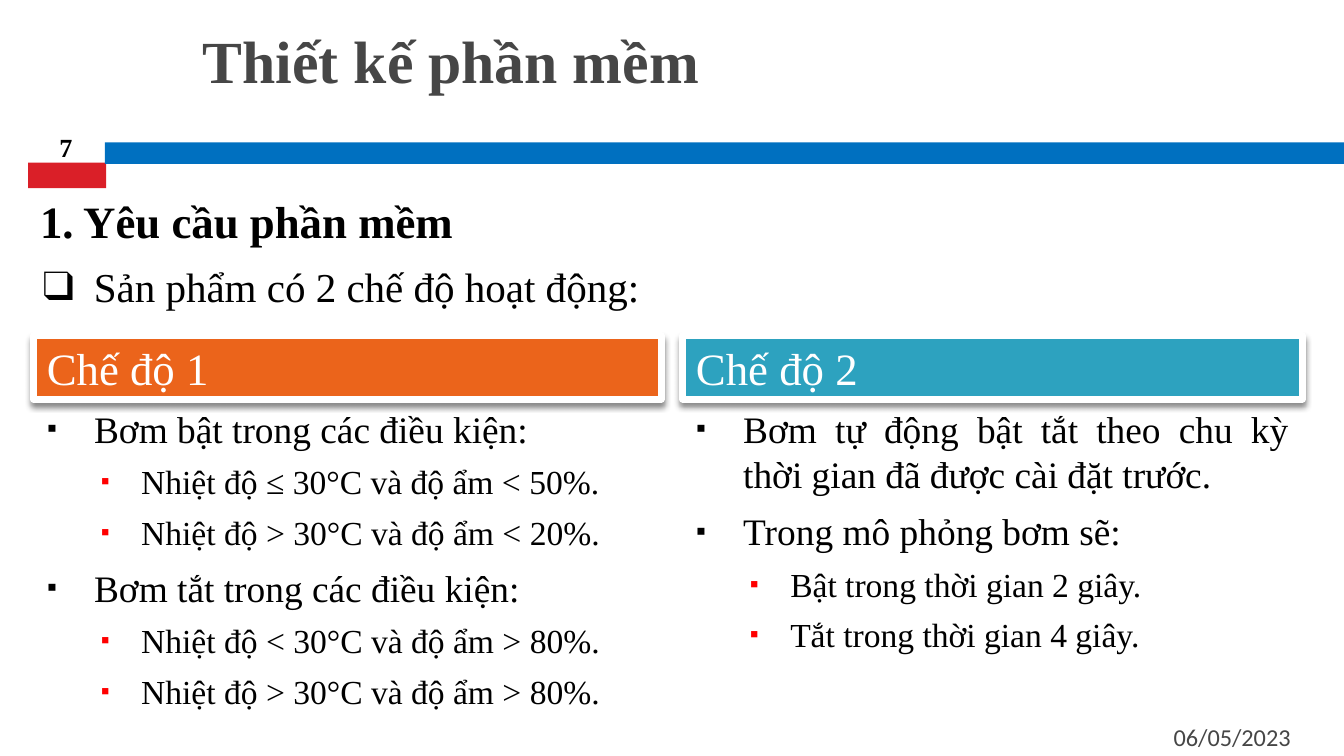
from dataclasses import dataclass

import pptx
import pptx.dml.color
import pptx.enum.shapes
import pptx.enum.text
import pptx.oxml
import pptx.oxml.ns
import pptx.util

Align = pptx.enum.text.PP_ALIGN
Anchor = pptx.enum.text.MSO_ANCHOR
Inches = pptx.util.Inches
Pt = pptx.util.Pt
NS = pptx.oxml.ns.nsdecls("a")


@dataclass(frozen=True)
class Theme:
    serif: str = "Times New Roman"
    sans: str = "Calibri"
    ink: str = "000000"
    gray: str = "464646"
    white: str = "FFFFFF"
    red: str = "DA1F28"
    blue: str = "0070C0"
    orange: str = "EB641B"
    teal: str = "2DA2BF"
    mark: str = "FF0000"
    title: float = 32
    head: float = 24
    lead: float = 22
    item: float = 20
    sub: float = 18
    page: float = 14
    date: float = 13


@dataclass(frozen=True)
class Area:
    """A place in grid cells, each a hundredth of the slide's width."""
    col: float
    row: float
    wide: float
    high: float


@dataclass(frozen=True)
class Bullet:
    sign: str
    color: str
    scale: int
    indent: float
    hang: float


@dataclass(frozen=True)
class Label:
    text: str
    area: Area
    size: float
    color: str
    font: str
    bold: bool = False
    align: Align = Align.LEFT
    anchor: Anchor = Anchor.TOP
    bullet: Bullet | None = None


@dataclass(frozen=True)
class Mode:
    name: str
    color: str
    col: float
    wide: float
    high: float
    items: tuple[tuple[int, str], ...]


T = Theme()
LEVELS = (
    (T.item, 7, Bullet("▪", T.ink, 75, 0.35, 0.35)),
    (T.sub, 5.5, Bullet("▪", T.mark, 75, 0.7, 0.3)),
)
BARS = (
    (Area(2.1, 12.1, 5.8, 1.9), T.red),
    (Area(7.8, 10.6, 92.3, 1.6), T.blue),
)
LABELS = (
    Label("1. Yêu cầu phần mềm", Area(2, 13.9, 86.7, 5), T.head, T.ink,
          T.serif, bold=True),
    Label("06/05/2023", Area(67.8, 53.3, 29.2, 3), T.date, T.gray, T.sans,
          align=Align.RIGHT, anchor=Anchor.MIDDLE),
    Label("7", Area(2, 9.2, 5.8, 3.4), T.page, T.ink, T.serif, bold=True,
          align=Align.CENTER, anchor=Anchor.BOTTOM),
    Label("Sản phẩm có 2 chế độ hoạt động:", Area(2.2, 19, 95, 4.7), T.lead,
          T.ink, T.serif, bullet=Bullet("❑", T.ink, 100, 0.38, 0.38)),
)
TITLE = Label("Thiết kế phần mềm", Area(14.1, 1.3, 81.8, 8.1), T.title, T.gray,
              T.serif, bold=True)
MODES = (
    Mode("Chế độ 1", T.orange, 2.5, 46.7, 25.4, (
        (0, "Bơm bật trong các điều kiện:"),
        (1, "Nhiệt độ ≤ 30°C và độ ẩm < 50%."),
        (1, "Nhiệt độ > 30°C và độ ẩm < 20%."),
        (0, "Bơm tắt trong các điều kiện:"),
        (1, "Nhiệt độ < 30°C và độ ẩm > 80%."),
        (1, "Nhiệt độ > 30°C và độ ẩm > 80%."),
    )),
    Mode("Chế độ 2", T.teal, 50.8, 46.1, 20.9, (
        (0, "Bơm tự động bật tắt theo chu kỳ thời gian đã được cài đặt trước."),
        (0, "Trong mô phỏng bơm sẽ:"),
        (1, "Bật trong thời gian 2 giây."),
        (1, "Tắt trong thời gian 4 giây."),
    )),
)
HEAD_ROW, HEAD_HIGH = 25, 4.7

deck = pptx.Presentation()
deck.slide_width = Inches(10)
deck.slide_height = deck.slide_width * 9 // 16
CELL = deck.slide_width // 100
slide = deck.slides.add_slide(deck.slide_layouts[3])


def spots(area: Area) -> tuple[int, ...]:
    return tuple(round(n * CELL)
                 for n in (area.col, area.row, area.wide, area.high))


def move(shape, area: Area) -> None:
    shape.left, shape.top, shape.width, shape.height = spots(area)


def color(code: str) -> pptx.dml.color.RGBColor:
    return pptx.dml.color.RGBColor.from_string(code)


def mark(para, bullet: Bullet) -> None:
    props = para._p.get_or_add_pPr()
    props.set("marL", str(Inches(bullet.indent)))
    props.set("indent", str(-Inches(bullet.hang)))
    for part in (
        f'<a:buClr {NS}><a:srgbClr val="{bullet.color}"/></a:buClr>',
        f'<a:buSzPct {NS} val="{bullet.scale * 1000}"/>',
        f'<a:buFont {NS} typeface="{T.serif}"/>',
        f'<a:buChar {NS} char="{bullet.sign}"/>',
    ):
        props.append(pptx.oxml.parse_xml(part))


def write(para, text: str, size: float, tint: str, face: str = T.serif,
          bold: bool = False) -> None:
    run = para.add_run()
    run.text = text
    run.font.size, run.font.name, run.font.bold = Pt(size), face, bold
    run.font.color.rgb = color(tint)


def fill(shape, label: Label) -> None:
    """Put the label's text into the shape."""
    frame = shape.text_frame
    frame.word_wrap = True
    frame.auto_size = pptx.enum.text.MSO_AUTO_SIZE.NONE
    frame.vertical_anchor = label.anchor
    para = frame.paragraphs[0]
    para.alignment = label.align
    if label.bullet:
        mark(para, label.bullet)
    write(para, label.text, label.size, label.color, label.font, label.bold)


def block(area: Area, tint: str):
    kind = pptx.enum.shapes.MSO_SHAPE.RECTANGLE
    shape = slide.shapes.add_shape(kind, *spots(area))
    shape.shadow.inherit = False
    shape.fill.solid()
    shape.fill.fore_color.rgb = color(tint)
    shape.line.fill.background()
    return shape


def shade(shape) -> None:
    effects = shape._element.spPr.find(pptx.oxml.ns.qn("a:effectLst"))
    effects.append(pptx.oxml.parse_xml(
        f'<a:outerShdw {NS} blurRad="{Pt(3)}" dist="{Pt(2.4)}" dir="5400000" '
        'rotWithShape="0"><a:srgbClr val="000000"><a:alpha val="45000"/>'
        '</a:srgbClr></a:outerShdw>'))


def draw(mode: Mode, body) -> None:
    """Draw a mode's heading and list its items in the body placeholder."""
    area = Area(mode.col, HEAD_ROW, mode.wide, HEAD_HIGH)
    head = block(area, mode.color)
    head.line.color.rgb = color(T.white)
    head.line.width = Pt(3.75)
    shade(head)
    fill(head, Label(mode.name, area, T.head, T.white, T.serif,
                     anchor=Anchor.MIDDLE))
    move(body, Area(mode.col, HEAD_ROW + HEAD_HIGH, mode.wide, mode.high))
    frame = body.text_frame
    frame.auto_size = pptx.enum.text.MSO_AUTO_SIZE.NONE
    for at, (level, text) in enumerate(mode.items):
        para = frame.add_paragraph() if at else frame.paragraphs[0]
        size, gap, bullet = LEVELS[level]
        para.level, para.alignment = level, Align.JUSTIFY
        para.space_before = Pt(gap if at else 0)
        mark(para, bullet)
        write(para, text, size, T.ink)


for area, tint in BARS:
    block(area, tint)
title, *bodies = slide.placeholders
move(title, TITLE.area)
fill(title, TITLE)
for label in LABELS:
    fill(slide.shapes.add_textbox(*spots(label.area)), label)
for mode, body in zip(MODES, bodies):
    draw(mode, body)
deck.save("out.pptx")
